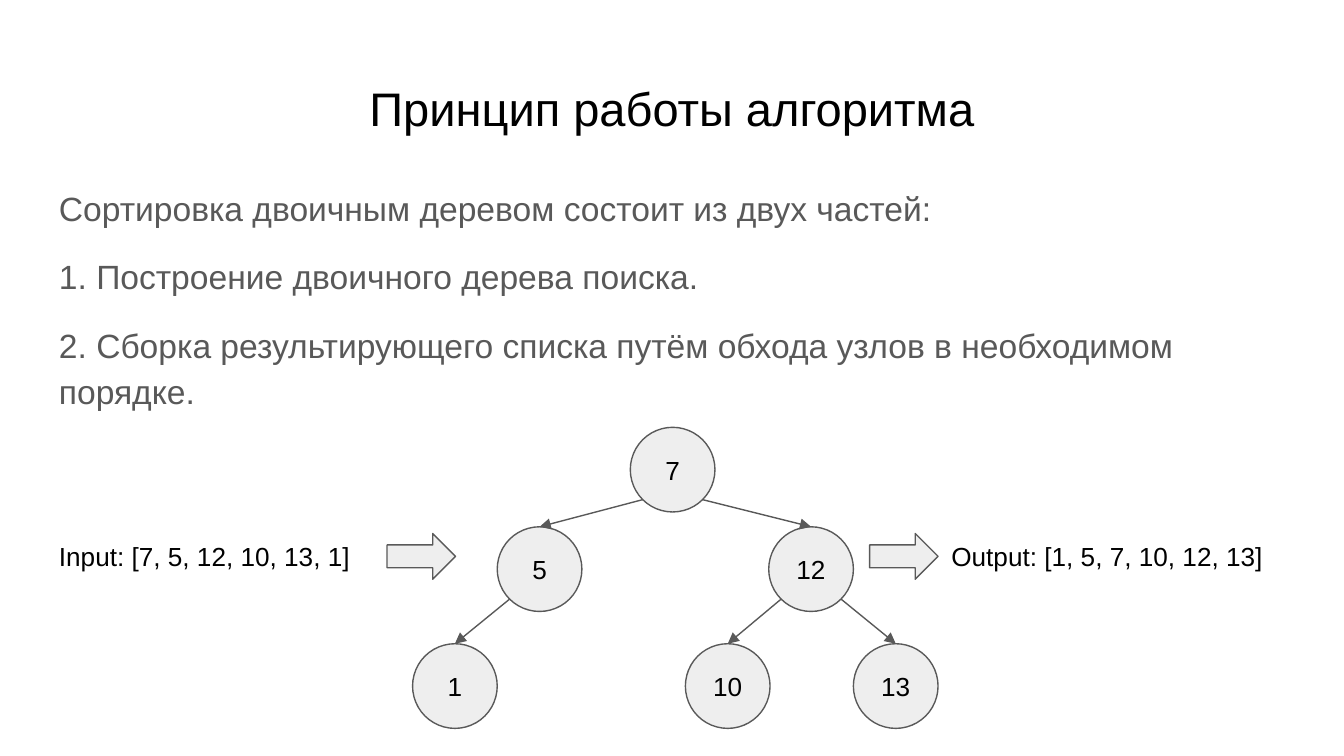
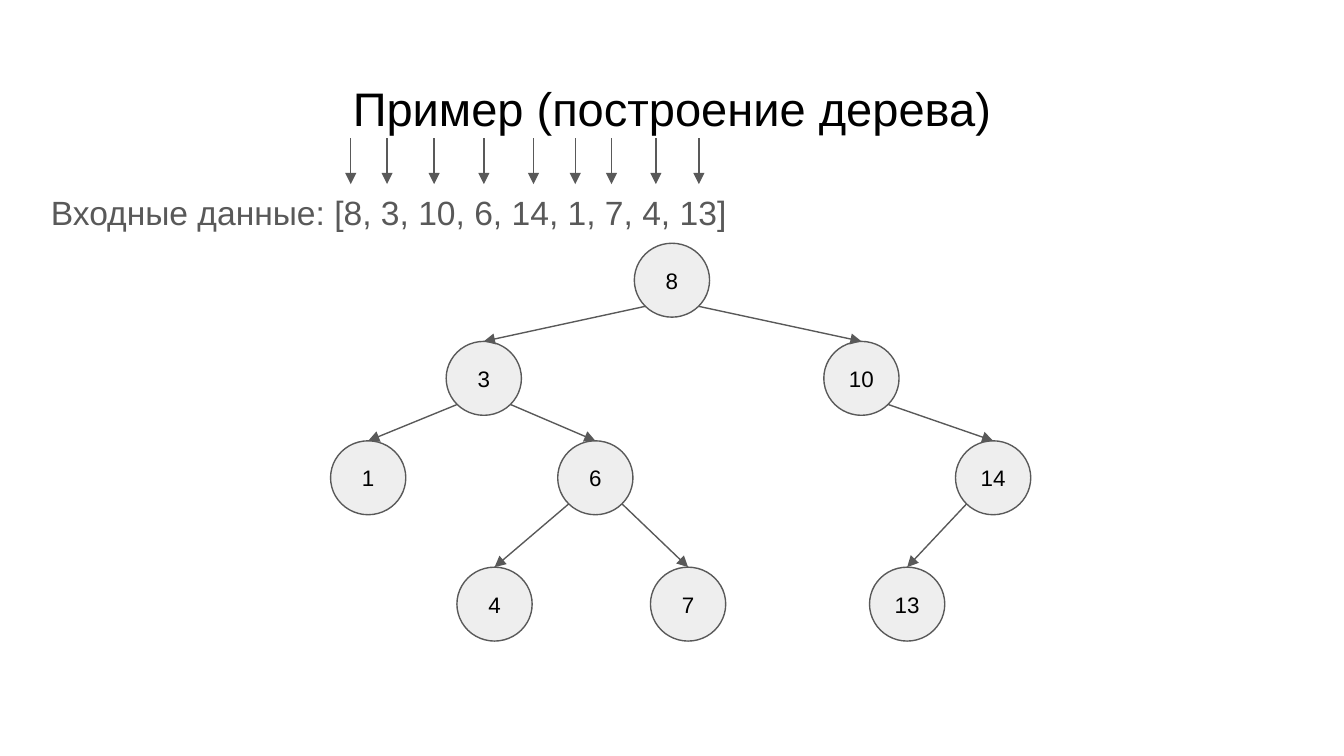
from math import sqrt

from lxml.etree import SubElement
from pptx import Presentation
from pptx.dml.color import RGBColor
from pptx.enum.shapes import MSO_CONNECTOR, MSO_SHAPE
from pptx.enum.text import MSO_ANCHOR, PP_ALIGN
from pptx.oxml.ns import qn
from pptx.util import Inches, Pt

BLACK = RGBColor(0x00, 0x00, 0x00)
GREY = RGBColor(0x59, 0x59, 0x59)
LIGHT = RGBColor(0xEE, 0xEE, 0xEE)
WHITE = RGBColor(0xFF, 0xFF, 0xFF)
FONT = "Arial"
LINE_WIDTH = Pt(0.75)
MARGIN = 0.34
TEXT_WIDTH = 9.32

SORT_NODES = {
    7: (4.69, 3.18, None),
    5: (3.7, 3.92, 7),
    12: (5.72, 3.92, 7),
    1: (3.07, 4.79, 5),
    10: (5.1, 4.79, 12),
    13: (6.35, 4.79, 12),
}
EXAMPLE_NODES = {
    8: (4.72, 1.81, None),
    3: (3.32, 2.54, 8),
    10: (6.13, 2.54, 8),
    1: (2.46, 3.28, 3),
    6: (4.15, 3.28, 3),
    14: (7.11, 3.28, 10),
    4: (3.4, 4.22, 6),
    7: (4.84, 4.22, 6),
    13: (6.47, 4.22, 14),
}
POINTER_XS = [2.61, 2.88, 3.23, 3.6, 3.97, 4.28, 4.55, 4.88, 5.2]


def set_text(frame, lines, size, color, align=PP_ALIGN.LEFT):
    """Fill a text frame with one paragraph per line and style it."""
    frame.word_wrap = True
    frame.margin_left = frame.margin_right = Inches(0.1)
    frame.margin_top = frame.margin_bottom = Inches(0.1)
    frame.text = "\n".join(lines)
    for paragraph in frame.paragraphs:
        paragraph.alignment = align
        for run in paragraph.runs:
            run.font.name = FONT
            run.font.size = Pt(size)
            run.font.color.rgb = color


def add_text(slide, box, lines, size, color, align=PP_ALIGN.LEFT):
    """Add a text box and return its text frame."""
    frame = slide.shapes.add_textbox(*map(Inches, box)).text_frame
    set_text(frame, lines, size, color, align)
    return frame


def add_titled_slide(prs, title):
    """Add a blank white slide with a centred title."""
    slide = prs.slides.add_slide(prs.slide_layouts[6])
    slide.background.fill.solid()
    slide.background.fill.fore_color.rgb = WHITE
    add_text(slide, (MARGIN, 0.49, TEXT_WIDTH, 0.63), [title], 25.2, BLACK,
             PP_ALIGN.CENTER)
    return slide


def add_body(slide, left, top, lines):
    """Add the grey body text."""
    frame = add_text(slide, (left, top, TEXT_WIDTH, 3.74), lines, 18, GREY)
    for paragraph in frame.paragraphs:
        paragraph.line_spacing = 1.15
    for paragraph in frame.paragraphs[1:]:
        paragraph.space_before = Pt(12)
    frame.paragraphs[-1].space_after = Pt(12)


def add_outlined(slide, kind, box):
    """Add a light preset shape with a thin grey outline."""
    shape = slide.shapes.add_shape(kind, *map(Inches, box))
    shape.shadow.inherit = False
    shape.fill.solid()
    shape.fill.fore_color.rgb = LIGHT
    shape.line.color.rgb = GREY
    shape.line.width = LINE_WIDTH
    return shape


def add_arrow(slide, begin_x, begin_y, end_x, end_y):
    """Add a thin straight connector with a triangular head."""
    arrow = slide.shapes.add_connector(
        MSO_CONNECTOR.STRAIGHT, begin_x, begin_y, end_x, end_y)
    arrow.line.color.rgb = GREY
    arrow.line.width = LINE_WIDTH
    properties = arrow._element.spPr
    SubElement(properties.get_or_add_ln(), qn("a:tailEnd"), type="triangle")
    SubElement(properties, qn("a:effectLst"))
    return arrow


def add_node(slide, value, box, size):
    """Add a round tree node showing its value."""
    node = add_outlined(slide, MSO_SHAPE.OVAL, box)
    set_text(node.text_frame, [str(value)], size, BLACK, PP_ALIGN.CENTER)
    node.text_frame.vertical_anchor = MSO_ANCHOR.MIDDLE
    return node


def link_nodes(slide, parent, child, side):
    """Join the lower left (-1) or right (1) of a parent to its child's top."""
    reach_x = parent.width / 2 / sqrt(2)
    reach_y = parent.height / 2 / sqrt(2)
    begin_x = int(parent.left + parent.width / 2 + side * reach_x)
    begin_y = int(parent.top + parent.height / 2 + reach_y)
    link = add_arrow(slide, begin_x, begin_y,
                     child.left + child.width // 2, child.top)
    link.end_connect(child, 0)


def add_tree(slide, places, width, height, size):
    """Draw a binary search tree, smaller children to the left."""
    nodes = {value: add_node(slide, value, (left, top, width, height), size)
             for value, (left, top, _) in places.items()}
    for value, (_, _, parent) in places.items():
        if parent is not None:
            side = -1 if value < parent else 1
            link_nodes(slide, nodes[parent], nodes[value], side)


def build_principle(prs):
    """Build the slide on how tree sort works."""
    slide = add_titled_slide(prs, "Принцип работы алгоритма")
    add_body(slide, MARGIN, 1.25, [
        "Сортировка двоичным деревом состоит из двух частей:",
        "1. Построение двоичного дерева поиска.",
        "2. Сборка результирующего списка путём обхода узлов в необходимом порядке.",
    ])
    add_text(slide, (MARGIN, 3.92, 2.63, 0.44),
             ["Input: [7, 5, 12, 10, 13, 1]"], 14, BLACK)
    add_text(slide, (6.98, 3.92, 2.91, 0.44),
             ["Output: [1, 5, 7, 10, 12, 13]"], 14, BLACK)
    add_tree(slide, SORT_NODES, 0.63, 0.63, 14)
    for left in (6.47, 2.88):
        add_outlined(slide, MSO_SHAPE.RIGHT_ARROW, (left, 3.97, 0.51, 0.34))


def build_example(prs):
    """Build the slide with the example of tree construction."""
    slide = add_titled_slide(prs, "Пример (построение дерева)")
    add_body(slide, 0.28, 1.28,
             ["Входные данные: [8, 3, 10, 6, 14, 1, 7, 4, 13]"])
    add_tree(slide, EXAMPLE_NODES, 0.56, 0.55, 12)
    for x in POINTER_XS:
        add_arrow(slide, Inches(x), Inches(1.03), Inches(x), Inches(1.37))


def main():
    """Build and save the presentation."""
    prs = Presentation()
    prs.slide_width = Inches(10)
    prs.slide_height = Inches(10) * 9 // 16
    build_principle(prs)
    build_example(prs)
    prs.save("out.pptx")


if __name__ == "__main__":
    main()
